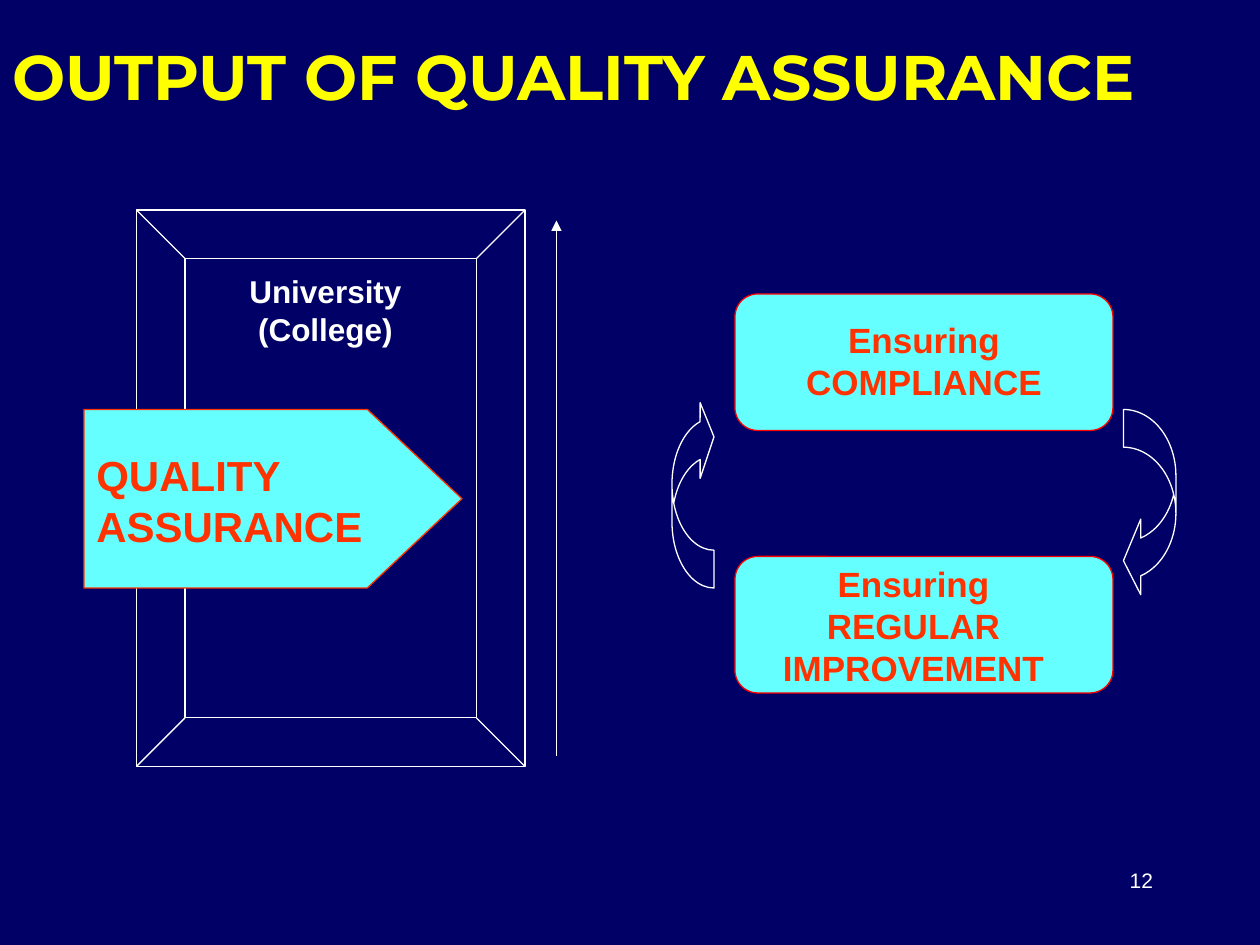
from lxml import etree
from pptx import Presentation
from pptx.dml.color import RGBColor
from pptx.enum.shapes import MSO_CONNECTOR, MSO_SHAPE
from pptx.enum.text import PP_ALIGN
from pptx.oxml.ns import qn
from pptx.util import Pt

LEFT, CENTER, RIGHT = PP_ALIGN.LEFT, PP_ALIGN.CENTER, PP_ALIGN.RIGHT
BEVEL, PENTAGON, ROUNDED = MSO_SHAPE.BEVEL, MSO_SHAPE.PENTAGON, MSO_SHAPE.ROUNDED_RECTANGLE
CURVED_ARROW = MSO_SHAPE.CURVED_LEFT_ARROW

COLORS = {"navy": "000066", "white": "FFFFFF", "yellow": "FFFF00",
          "cyan": "66FFFF", "orange": "FF3300", "red": "FF0000"}

# Text formats: alignment, then font values
FORMATS = {
    "title": (LEFT, "yellow", {"name": "Montserrat", "size": Pt(36), "bold": True}),
    "university": (CENTER, "white", {"name": "Arial", "size": Pt(18), "bold": True}),
    "assurance": (LEFT, "orange", {"name": "Arial", "size": Pt(24), "bold": True}),
    "output": (CENTER, "orange", {"name": "Arial", "size": Pt(20), "bold": True}),
    "number": (RIGHT, "white", {"name": "Arial", "size": Pt(12), "bold": False}),
}

# Text, format, (left, top, width, height)
TEXTS = [
    ("OUTPUT OF QUALITY ASSURANCE", "title", (0, 18, 720, 50)),
    ("University (College)", "university", (114, 152, 144, 50)),
    ("QUALITY ASSURANCE", "assurance", (48, 253.5, 174, 65)),
    ("Ensuring COMPLIANCE", "output", (426, 178.5, 204, 55)),
    ("Ensuring REGULAR IMPROVEMENT", "output", (432, 318, 180, 79)),
    ("12", "number", (516, 492, 150, 36)),
]

# Kind, (left, top, width, height), fill, line, adjustments, rotation
OUTPUT_LEFT, OUTPUT_WIDTH, OUTPUT_HEIGHT = 420, 216, 78
SHAPES = [
    (BEVEL, (78, 120, 222, 318), None, "white", [0.125], 0),
    (PENTAGON, (48, 234, 216, 102), "cyan", "orange", [0.53], 0),
] + [
    (ROUNDED, (OUTPUT_LEFT, top, OUTPUT_WIDTH, OUTPUT_HEIGHT), "cyan", "red", [0.167], 0)
    for top in (168, 318)
] + [
    (CURVED_ARROW, (642, 234, 30, 108), None, "white", [0.72, 1.44, 0.33], 0),
    (CURVED_ARROW, (384, 228, 24, 108), None, "white", [0.9, 1.8, 0.33], 180),
]
RISING_ARROW = (318, 432, 318, 126)


def color(name):
    return RGBColor.from_string(COLORS[name])


def add_part(slide, kind, box, fill, line, adjustments, rotation):
    part = slide.shapes.add_shape(kind, *map(Pt, box))
    part.shadow.inherit = False
    part.rotation = rotation
    for index, value in enumerate(adjustments):
        part.adjustments[index] = value
    if fill:
        part.fill.solid()
        part.fill.fore_color.rgb = color(fill)
    else:
        part.fill.background()
    part.line.color.rgb = color(line)
    part.line.width = Pt(0.75)


def add_text(slide, text, style, box):
    align, ink, font_values = FORMATS[style]
    frame = slide.shapes.add_textbox(*map(Pt, box)).text_frame
    frame.word_wrap = True
    paragraph = frame.paragraphs[0]
    paragraph.alignment = align
    run = paragraph.add_run()
    run.text = text
    run.font.color.rgb = color(ink)
    for attribute, value in font_values.items():
        setattr(run.font, attribute, value)


def add_arrow(slide, ends):
    arrow = slide.shapes.add_connector(MSO_CONNECTOR.STRAIGHT, *map(Pt, ends))
    arrow.line.color.rgb = color("white")
    arrow.line.width = Pt(1)
    outline = arrow.line._get_or_add_ln()
    etree.SubElement(outline, qn("a:tailEnd"), type="triangle")
    etree.SubElement(arrow._element.spPr, qn("a:effectLst"))


def main():
    deck = Presentation()
    deck.slide_width, deck.slide_height = Pt(720), Pt(540)
    slide = deck.slides.add_slide(deck.slide_layouts[6])
    slide.background.fill.solid()
    slide.background.fill.fore_color.rgb = color("navy")

    # Diagram first, wording on top
    for shape in SHAPES:
        add_part(slide, *shape)
    add_arrow(slide, RISING_ARROW)
    for text in TEXTS:
        add_text(slide, *text)
    deck.save("out.pptx")


if __name__ == "__main__":
    main()
